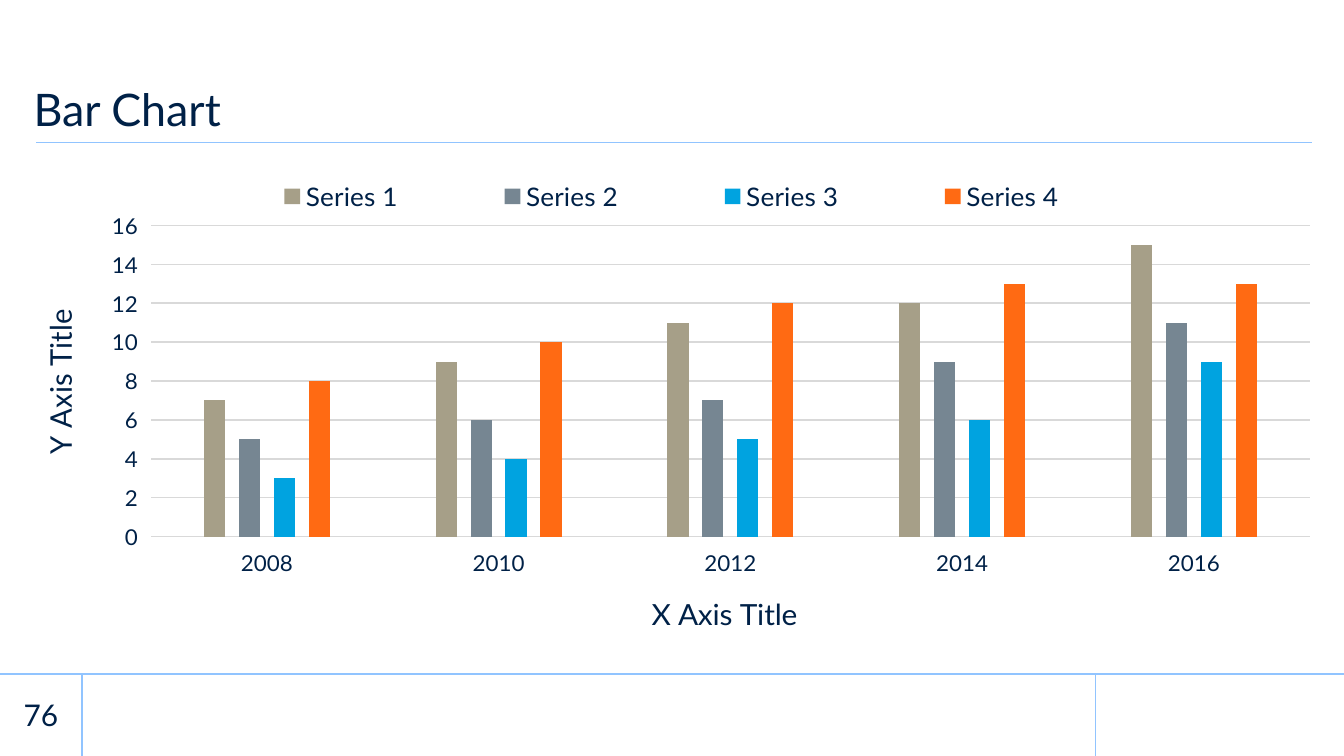
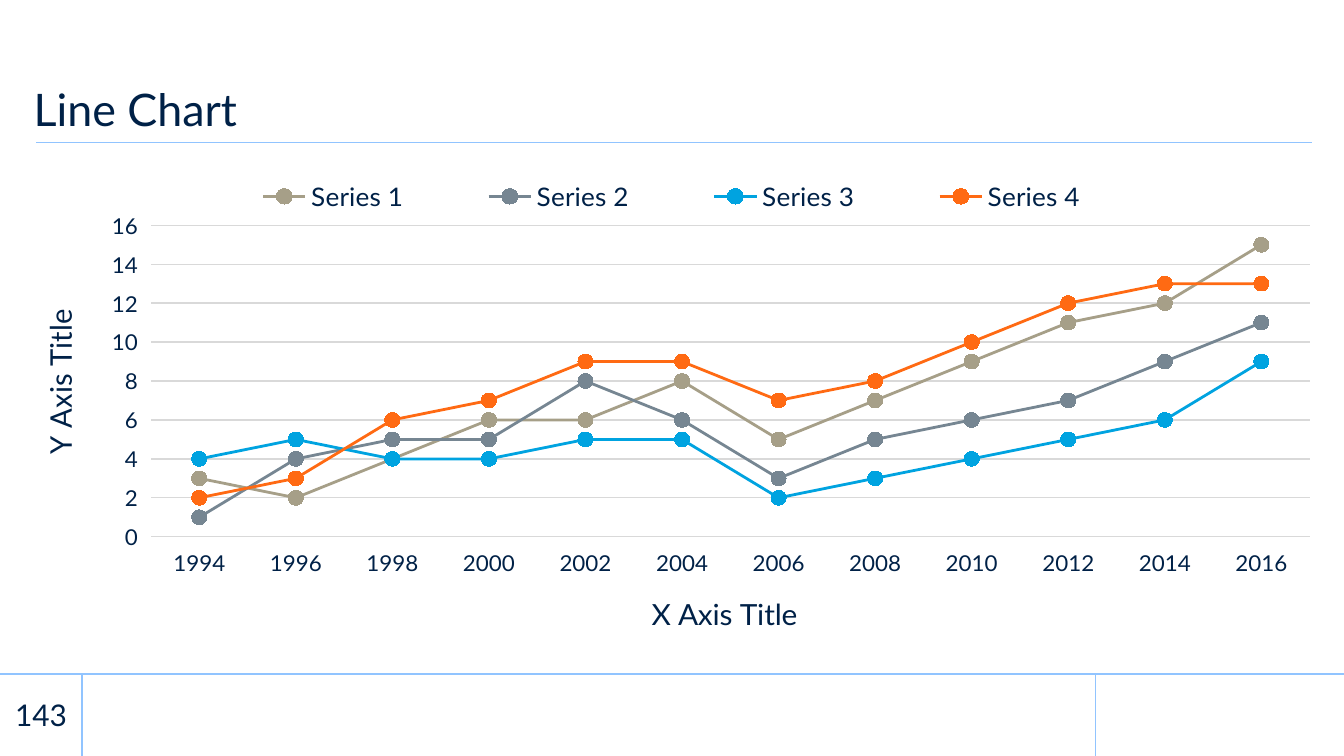
from lxml import etree
from pptx import Presentation
from pptx.chart.data import CategoryChartData
from pptx.dml.color import RGBColor
from pptx.enum.chart import XL_CHART_TYPE, XL_LEGEND_POSITION, XL_MARKER_STYLE
from pptx.enum.shapes import MSO_CONNECTOR, MSO_SHAPE
from pptx.enum.text import MSO_ANCHOR, PP_ALIGN
from pptx.oxml.ns import qn
from pptx.util import Inches, Pt

COLUMNS = XL_CHART_TYPE.COLUMN_CLUSTERED
LINES = XL_CHART_TYPE.LINE_MARKERS
TOP = XL_LEGEND_POSITION.TOP
CIRCLE = XL_MARKER_STYLE.CIRCLE
STRAIGHT = MSO_CONNECTOR.STRAIGHT
RECTANGLE = MSO_SHAPE.RECTANGLE
MIDDLE, BOTTOM = MSO_ANCHOR.MIDDLE, MSO_ANCHOR.BOTTOM
LEFT, CENTER = PP_ALIGN.LEFT, PP_ALIGN.CENTER

FONT = "Lato"
COLORS = {
    "navy": "002147",
    "rule": "91C4FF",
    "grid": "D9D9D9",
    "white": "FFFFFF",
    "black": "000000",
}
SERIES_COLORS = ["A69F88", "768692", "00A3E0", "FF6A13"]

SLIDE_W = 10
SLIDE_H = SLIDE_W * 9 / 16
FOOTER_H = 0.61
FOOTER_Y = SLIDE_H - FOOTER_H
NUMBER_W, LOGO_X = 0.61, 8.15
TITLE_BOX = (0.25, 0.26, 9.5, 0.8)
CHART_BOX = (0.25, 1.31, 9.5, 3.45)
TITLE_RULE_Y = 1.06

BAR_YEARS = range(2008, 2017, 2)
BAR_VALUES = [
    (7, 9, 11, 12, 15),
    (5, 6, 7, 9, 11),
    (3, 4, 5, 6, 9),
    (8, 10, 12, 13, 13),
]
LINE_YEARS = range(1994, 2017, 2)
LINE_VALUES = [
    (3, 2, 4, 6, 6, 8, 5, 7, 9, 11, 12, 15),
    (1, 4, 5, 5, 8, 6, 3, 5, 6, 7, 9, 11),
    (4, 5, 4, 4, 5, 5, 2, 3, 4, 5, 6, 9),
    (2, 3, 6, 7, 9, 9, 7, 8, 10, 12, 13, 13),
]


def rgb(name):
    return RGBColor.from_string(COLORS[name])


def style_font(font, size, color="navy"):
    font.name = FONT
    font.size = Pt(size)
    font.bold = False
    font.color.rgb = rgb(color)


def write(tf, text, size=16, color="navy", align=LEFT, anchor=MIDDLE,
          wrap=True, bottom=0, spacing=None):
    tf.word_wrap = wrap
    tf.vertical_anchor = anchor
    tf.margin_left = tf.margin_right = tf.margin_top = 0
    tf.margin_bottom = Inches(bottom)
    p = tf.paragraphs[0]
    p.alignment = align
    p.line_spacing = spacing
    r = p.add_run()
    r.text = text
    style_font(r.font, size, color)


def add_band(slide, x, width, opacity=100):
    sp = slide.shapes.add_shape(RECTANGLE, Inches(x), Inches(FOOTER_Y),
                                Inches(width), Inches(FOOTER_H))
    sp.shadow.inherit = False
    sp.line.fill.background()
    sp.fill.solid()
    sp.fill.fore_color.rgb = rgb("white")
    if opacity < 100:
        color = sp.element.spPr.find(qn("a:solidFill"))[0]
        etree.SubElement(color, qn("a:alpha"), val=str(opacity * 1000))


def add_rule(slide, x1, y1, x2, y2):
    line = slide.shapes.add_connector(STRAIGHT, Inches(x1), Inches(y1),
                                      Inches(x2), Inches(y2))
    line.line.color.rgb = rgb("rule")
    line.line.width = Pt(0.75)
    etree.SubElement(line.element.spPr, qn("a:effectLst"))


def add_frame(slide):
    """Draw the footer bands and the thin rules shared by the slides."""
    add_band(slide, 0, SLIDE_W, opacity=85)
    add_band(slide, LOGO_X, SLIDE_W - LOGO_X)
    add_rule(slide, SLIDE_W, FOOTER_Y, 0, FOOTER_Y)
    for x in (LOGO_X, NUMBER_W):
        add_rule(slide, x, SLIDE_H, x, FOOTER_Y)
    add_rule(slide, 9.76, TITLE_RULE_Y, 0.27, TITLE_RULE_Y)


def add_chart_slide(prs, title, number):
    slide = prs.slides.add_slide(prs.slide_layouts[5])
    add_frame(slide)
    sp = slide.shapes.title
    sp.left, sp.top, sp.width, sp.height = map(Inches, TITLE_BOX)
    write(sp.text_frame, title, size=24, anchor=BOTTOM, bottom=0.05,
          spacing=0.9)
    box = slide.shapes.add_textbox(0, Inches(FOOTER_Y), Inches(NUMBER_W),
                                   Inches(FOOTER_H))
    write(box.text_frame, str(number), align=CENTER, wrap=False)
    return slide


def place(element, index, target=None, **position):
    """Give a chart part a manual layout in fractions of the chart."""
    for old in element.findall(qn("c:layout")):
        element.remove(old)
    layout = etree.Element(qn("c:layout"))
    manual = etree.SubElement(layout, qn("c:manualLayout"))
    if target:
        etree.SubElement(manual, qn("c:layoutTarget"), val=target)
    for key in ("x", "y"):
        etree.SubElement(manual, qn(f"c:{key}Mode"), val="edge")
    for key, value in position.items():
        etree.SubElement(manual, qn(f"c:{key}"), val=str(value))
    element.insert(index, layout)


def style_axis(axis, title, x, y, rotation=0):
    style_font(axis.tick_labels.font, 12)
    axis.format.line.fill.background()
    tf = axis.axis_title.text_frame
    r = tf.paragraphs[0].add_run()
    r.text = title
    style_font(r.font, 16)
    element = axis.axis_title.element
    body = element.find(".//" + qn("a:bodyPr"))
    body.set("rot", str(rotation * 60000))
    body.set("vert", "horz")
    place(element, 1, x=x, y=y)


def add_chart(slide, kind, years, values):
    data = CategoryChartData()
    data.categories = [str(year) for year in years]
    for number, row in enumerate(values, 1):
        data.add_series(f"Series {number}", row)
    chart = slide.shapes.add_chart(kind, *map(Inches, CHART_BOX), data).chart
    style_font(chart.font, 18, "black")
    chart.has_title = False
    chart.has_legend = True
    chart.legend.position = TOP
    chart.legend.include_in_layout = False
    style_font(chart.legend.font, 14)

    style_axis(chart.category_axis, "X Axis Title", 0.48, 0.91)
    axis = chart.value_axis
    style_axis(axis, "Y Axis Title", 0, 0.29, rotation=-90)
    axis.minimum_scale, axis.maximum_scale, axis.major_unit = 0, 16, 2
    grid = axis.major_gridlines.format.line
    grid.color.rgb = rgb("grid")
    grid.width = Pt(0.75)

    root = chart.element
    place(root.find(".//" + qn("c:plotArea")), 0, target="inner",
          x=0.092, y=0.109, w=0.908, h=0.688)
    place(root.find(".//" + qn("c:legend")), 1, x=0.12, y=0, w=0.76, h=0.09)
    chart.plots[0].vary_by_categories = False
    return chart


def style_columns(chart):
    plot = chart.plots[0]
    plot.gap_width = 500
    plot.overlap = -65
    for series, color in zip(plot.series, SERIES_COLORS):
        series.format.fill.solid()
        series.format.fill.fore_color.rgb = RGBColor.from_string(color)


def style_lines(chart):
    for series, color in zip(chart.plots[0].series, SERIES_COLORS):
        series.smooth = False
        marker = series.marker
        marker.style = CIRCLE
        marker.size = 8
        marker.format.fill.solid()
        marker.format.fill.fore_color.rgb = rgb("white")
        for line in (series.format.line, marker.format.line):
            line.color.rgb = RGBColor.from_string(color)
            line.width = Pt(1.5)


def main():
    prs = Presentation()
    prs.slide_width, prs.slide_height = Inches(SLIDE_W), Inches(SLIDE_H)

    slide = add_chart_slide(prs, "Bar Chart", 76)
    style_columns(add_chart(slide, COLUMNS, BAR_YEARS, BAR_VALUES))

    slide = add_chart_slide(prs, "Line Chart", 143)
    style_lines(add_chart(slide, LINES, LINE_YEARS, LINE_VALUES))

    prs.save("out.pptx")


if __name__ == "__main__":
    main()
